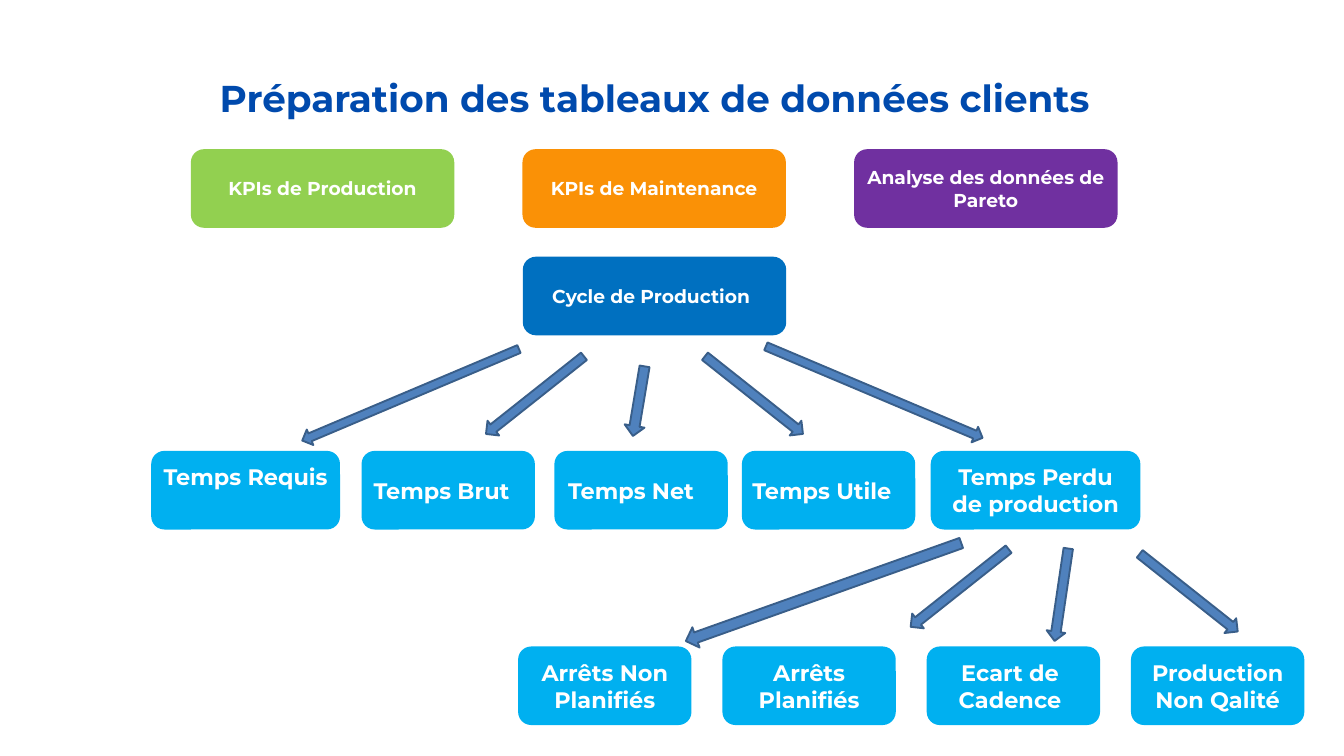
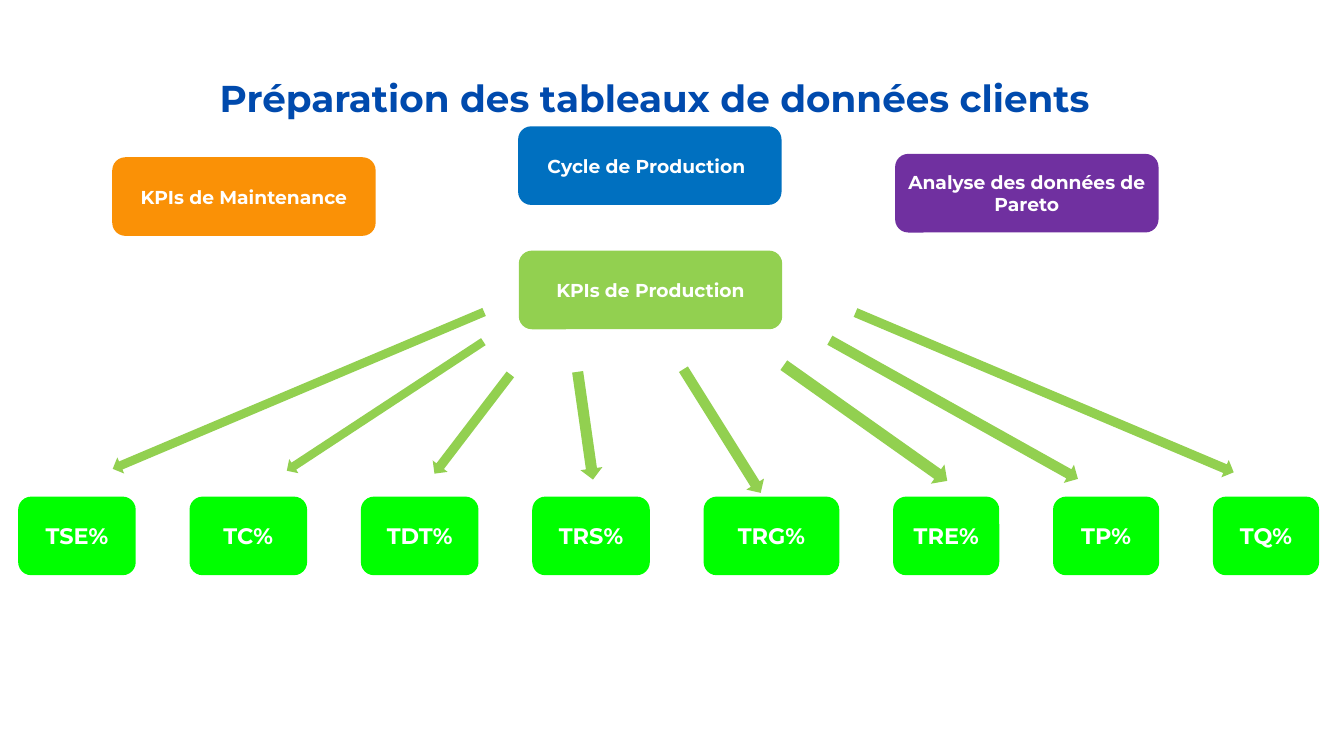
from pptx import Presentation
from pptx.dml.color import RGBColor
from pptx.enum.shapes import MSO_SHAPE
from pptx.enum.text import MSO_ANCHOR, MSO_AUTO_SIZE, PP_ALIGN
from pptx.util import Inches, Pt

ROUNDED = MSO_SHAPE.ROUNDED_RECTANGLE
ARROW = MSO_SHAPE.RIGHT_ARROW
CENTER = PP_ALIGN.CENTER
MIDDLE = MSO_ANCHOR.MIDDLE
GROW = MSO_AUTO_SIZE.SHAPE_TO_FIT_TEXT

TITLE = "Préparation des tableaux de données clients"
TITLE_COLOR = "004AAD"
WHITE = "FFFFFF"
SKY = "00B0F0"
LIME = "00FF00"
BOX_HEIGHT = 1.17
THEME_WIDTH = 3.92
STEP_WIDTH = 2.58
MARGINS = {"margin_left": 0.1, "margin_top": 0.05, "margin_right": 0.1, "margin_bottom": 0.05}
NO_MARGINS = dict.fromkeys(MARGINS, 0)

CYCLE = ("Cycle de Production", "0070C0", {"margin_right": 0.2})
PRODUCTION = ("KPIs de Production", "92D050", {})
MAINTENANCE = ("KPIs de Maintenance", "FA9106", {})
PARETO = ("Analyse des données de Pareto", "7030A0", {})


def paint(shape, fill, outline=None):
    shape.shadow.inherit = False
    shape.fill.solid()
    shape.fill.fore_color.rgb = RGBColor.from_string(fill)
    if outline:
        shape.line.color.rgb = RGBColor.from_string(outline)
        shape.line.width = Pt(2)
    else:
        shape.line.fill.background()


def write(shape, text, size, color, margins):
    frame = shape.text_frame
    frame.word_wrap = True
    for side, inches in margins.items():
        setattr(frame, side, Inches(inches))
    paragraph = frame.paragraphs[0]
    paragraph.alignment = CENTER
    run = paragraph.add_run()
    run.text = text
    for name, value in {"name": "Montserrat", "size": Pt(size), "bold": True}.items():
        setattr(run.font, name, value)
    run.font.color.rgb = RGBColor.from_string(color)
    return frame


cycle_themes = [(7.78, 3.82, CYCLE)]
for column, theme in enumerate((PRODUCTION, MAINTENANCE, PARETO)):
    cycle_themes.append((2.84 + 4.935 * column, 2.22, theme))

kpi_themes = [
    (7.71, 1.88, CYCLE),
    (7.72, 3.73, PRODUCTION),
    (1.67, 2.34, MAINTENANCE),
    (13.32, 2.29, PARETO),
]

cycle_steps = [
    (2.25, 6.71, 2.81, "Temps Requis", {"margin_bottom": 0.45}),
    (5.38, 6.71, STEP_WIDTH, "Temps Brut", {"margin_left": 0, "margin_right": 0.2}),
    (8.25, 6.71, STEP_WIDTH, "Temps Net", {"margin_left": 0, "margin_right": 0.3}),
    (11.04, 6.71, STEP_WIDTH, "Temps Utile", {"margin_left": 0, "margin_right": 0.2}),
    (13.85, 6.71, 3.12, "Temps Perdu de production", {}),
]
losses = (
    ("Arrêts Non Planifiés", {}),
    ("Arrêts Planifiés", {}),
    ("Ecart de Cadence", {"margin_right": 0.2}),
    ("Production Non Qalité", {}),
)
for column, (loss, margins) in enumerate(losses):
    cycle_steps.append((7.71 + 3.04 * column, 9.62, STEP_WIDTH, loss, margins))

kpi_steps = []
kpi_left = 0.27
for rate, width in (
    ("TSE%", 1.75), ("TC%", 1.75), ("TDT%", 1.75), ("TRS%", 1.75),
    ("TRG%", 2.02), ("TRE%", 1.58), ("TP%", 1.58), ("TQ%", 1.58),
):
    kpi_steps.append((kpi_left, 7.39, width, rate, {}))
    kpi_left += width + 0.8

cycle_arrows = [
    (4.36, 5.75, 3.5, 0.25, 157.1),
    (7.03, 5.74, 1.86, 0.28, 141.6),
    (8.98, 5.82, 1.05, 0.3, 99.5),
    (10.29, 5.74, 1.86, 0.28, 38.4),
    (11.26, 5.71, 3.5, 0.25, 22.9),
    (10.08, 8.65, 4.35, 0.32, 160.4),
    (13.35, 8.61, 1.86, 0.28, 141.6),
    (15.1, 8.71, 1.39, 0.28, 98.4),
    (16.76, 8.68, 1.86, 0.28, 38.4),
]
kpi_arrows = [
    (1.44, 5.68, 6, 0.26, 157.1),
    (3.98, 5.92, 3.5, 0.25, 146.7),
    (6.1, 6.17, 1.86, 0.28, 127.4),
    (7.9, 6.17, 1.62, 0.33, 81.9),
    (9.66, 6.26, 2.17, 0.31, 58),
    (11.39, 6.12, 2.98, 0.35, 35.3),
    (12.08, 5.94, 4.23, 0.31, 29.2),
    (12.49, 5.7, 6.11, 0.28, 22.9),
]

deck = Presentation()
deck.slide_width = Inches(20)
deck.slide_height = Inches(11.25)

for themes, steps, step_color, arrows, arrow_colors in (
    (cycle_themes, cycle_steps, SKY, cycle_arrows, ("4F81BD", "395E89")),
    (kpi_themes, kpi_steps, LIME, kpi_arrows, ("92D050",)),
):
    slide = deck.slides.add_slide(deck.slide_layouts[6])
    heading = slide.shapes.add_textbox(Inches(2.03), Inches(0.29), Inches(15.42), Inches(1.06))
    heading_frame = write(heading, TITLE, 40, TITLE_COLOR, NO_MARGINS)
    heading_frame.auto_size = GROW
    heading_frame.paragraphs[0].line_spacing = 2.25

    boxes = [
        (left, top, THEME_WIDTH, text, color, 20, margins)
        for left, top, (text, color, margins) in themes
    ] + [
        (left, top, width, text, step_color, 24, margins)
        for left, top, width, text, margins in steps
    ]
    for left, top, width, text, color, size, margins in boxes:
        box = slide.shapes.add_shape(
            ROUNDED, Inches(left), Inches(top), Inches(width), Inches(BOX_HEIGHT)
        )
        paint(box, color)
        write(box, text, size, WHITE, MARGINS | margins).vertical_anchor = MIDDLE

    for left, top, length, thickness, angle in arrows:
        arrow = slide.shapes.add_shape(
            ARROW, Inches(left), Inches(top), Inches(length), Inches(thickness)
        )
        arrow.rotation = angle
        paint(arrow, *arrow_colors)

deck.save("out.pptx")
